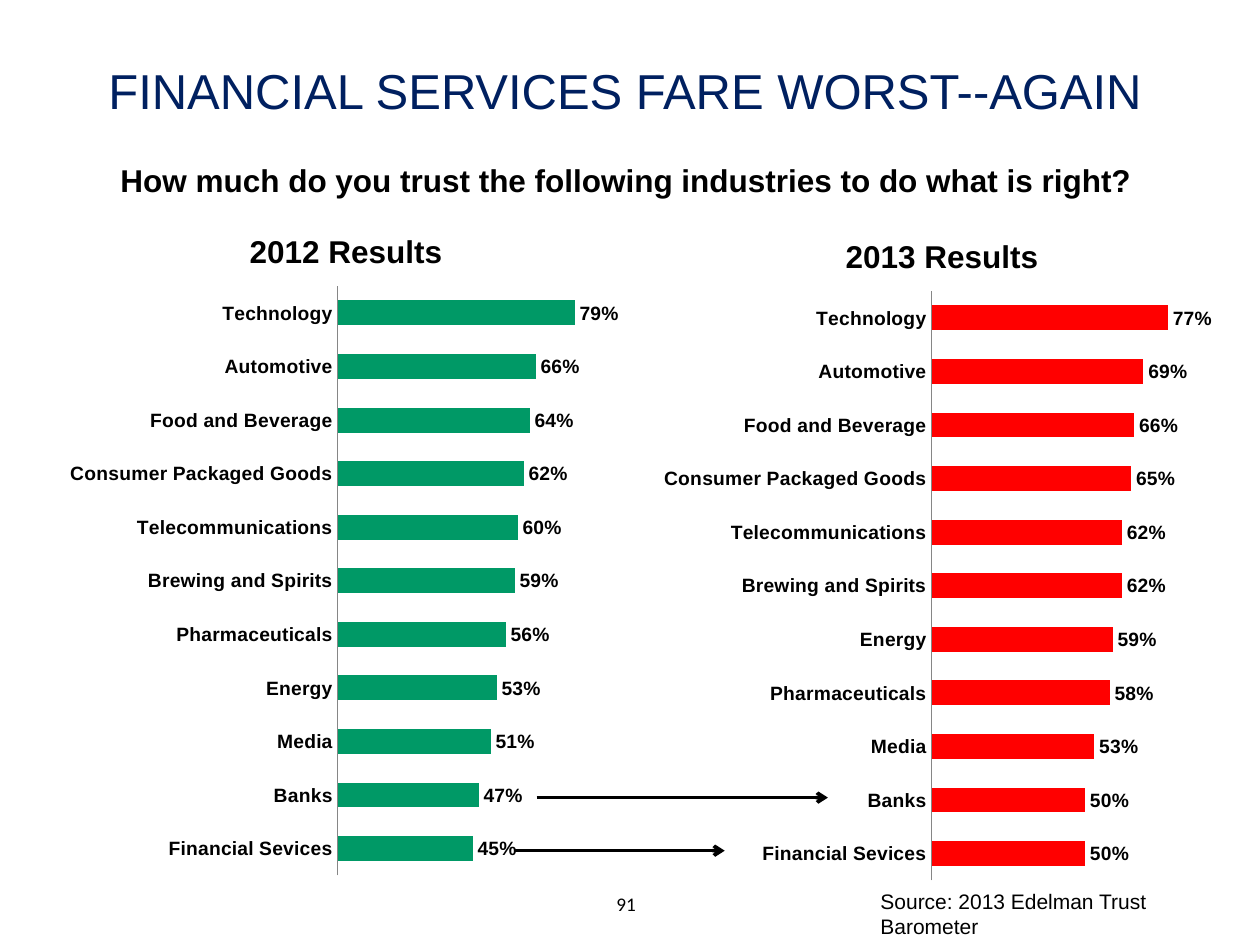
from dataclasses import dataclass

from lxml.etree import SubElement
from pptx import Presentation
from pptx.chart.data import CategoryChartData
from pptx.dml.color import RGBColor
from pptx.enum.chart import XL_CHART_TYPE, XL_LABEL_POSITION, XL_TICK_LABEL_POSITION, XL_TICK_MARK
from pptx.enum.shapes import MSO_CONNECTOR
from pptx.enum.text import MSO_ANCHOR, MSO_AUTO_SIZE, PP_ALIGN
from pptx.oxml import parse_xml
from pptx.oxml.ns import nsdecls, qn
from pptx.util import Cm, Pt


@dataclass(frozen=True)
class Theme:
    font: str = "Arial"
    number_font: str = "Calibri"
    navy: RGBColor = RGBColor(0x00, 0x20, 0x60)
    black: RGBColor = RGBColor(0x00, 0x00, 0x00)
    grey: RGBColor = RGBColor(0x86, 0x86, 0x86)
    green: RGBColor = RGBColor(0x00, 0x99, 0x66)
    red: RGBColor = RGBColor(0xFF, 0x00, 0x00)
    title_size: Pt = Pt(28)
    heading_size: Pt = Pt(18)
    source_size: Pt = Pt(12)
    label_size: Pt = Pt(11)
    chart_size: Pt = Pt(10)
    arrow_width: Pt = Pt(2)


THEME = Theme()

RESULTS_2012 = {
    "Technology": 0.79, "Automotive": 0.66, "Food and Beverage": 0.64,
    "Consumer Packaged Goods": 0.62, "Telecommunications": 0.60,
    "Brewing and Spirits": 0.59, "Pharmaceuticals": 0.56, "Energy": 0.53,
    "Media": 0.51, "Banks": 0.47, "Financial Sevices": 0.45,
}
RESULTS_2013 = {
    "Technology": 0.77, "Automotive": 0.69, "Food and Beverage": 0.66,
    "Consumer Packaged Goods": 0.65, "Telecommunications": 0.62,
    "Brewing and Spirits": 0.62, "Energy": 0.59, "Pharmaceuticals": 0.58,
    "Media": 0.53, "Banks": 0.50, "Financial Sevices": 0.50,
}


def style_font(font, size, color=THEME.black, bold=False, name=THEME.font):
    font.name = name
    font.size = size
    font.bold = bold
    font.color.rgb = color


def add_title(slide, box, text):
    title = slide.shapes.title
    title.left, title.top, title.width, title.height = map(Cm, box)
    frame = title.text_frame
    frame.text = text
    frame.auto_size = MSO_AUTO_SIZE.NONE
    frame.vertical_anchor = MSO_ANCHOR.BOTTOM
    paragraph = frame.paragraphs[0]
    paragraph.alignment = PP_ALIGN.CENTER
    style_font(paragraph.font, THEME.title_size, THEME.navy)


def add_text(slide, box, text, size, alignment=PP_ALIGN.CENTER, wrap=False, **font_style):
    frame = slide.shapes.add_textbox(*map(Cm, box)).text_frame
    frame.word_wrap = wrap
    frame.text = text
    paragraph = frame.paragraphs[0]
    paragraph.alignment = alignment
    style_font(paragraph.font, size, **font_style)


def set_layout(parent, index, **fractions):
    for old_layout in parent.findall(qn("c:layout")):
        parent.remove(old_layout)
    layout = parse_xml(f"<c:layout {nsdecls('c')}><c:manualLayout/></c:layout>")
    manual = layout[0]
    if "w" in fractions:
        SubElement(manual, qn("c:layoutTarget")).set("val", "inner")
    for axis in "xy":
        SubElement(manual, qn(f"c:{axis}Mode")).set("val", "edge")
    for key, value in fractions.items():
        SubElement(manual, qn(f"c:{key}")).set("val", f"{value:.4f}")
    parent.insert(index, layout)


def add_results_chart(slide, box, heading, results, color):
    data = CategoryChartData(number_format="0%")
    data.categories = list(results)
    data.add_series("Series 1", list(results.values()))
    chart = slide.shapes.add_chart(XL_CHART_TYPE.BAR_CLUSTERED, *map(Cm, box), data).chart
    chart.has_legend = False
    style_font(chart.font, THEME.chart_size)

    chart.has_title = True
    title = chart.chart_title
    title.text_frame.text = heading
    style_font(title.text_frame.paragraphs[0].font, THEME.heading_size, bold=True)
    set_layout(title.element, 1, x=0.33, y=0.04)

    width, height = box[2:]
    left, top, right, bottom = 5.62, 1.78, 0.24, 0.26
    set_layout(
        chart.element.find(f".//{qn('c:plotArea')}"), 0,
        x=left / width, y=top / height,
        w=(width - left - right) / width, h=(height - top - bottom) / height,
    )

    category_axis = chart.category_axis
    category_axis.reverse_order = True
    category_axis.major_tick_mark = XL_TICK_MARK.NONE
    category_axis.format.line.color.rgb = THEME.grey
    style_font(category_axis.tick_labels.font, THEME.label_size, bold=True)

    value_axis = chart.value_axis
    value_axis.minimum_scale, value_axis.maximum_scale = 0, 0.9
    value_axis.has_major_gridlines = False
    value_axis.major_tick_mark = XL_TICK_MARK.NONE
    value_axis.tick_label_position = XL_TICK_LABEL_POSITION.NONE
    value_axis.format.line.fill.background()

    plot = chart.plots[0]
    plot.gap_width = 115
    plot.vary_by_categories = False
    fill = plot.series[0].format.fill
    fill.solid()
    fill.fore_color.rgb = color
    labels = plot.series[0].data_labels
    labels.show_value = True
    labels.number_format = "0%"
    labels.number_format_is_linked = False
    labels.position = XL_LABEL_POSITION.OUTSIDE_END
    style_font(labels.font, THEME.label_size, bold=True)


def add_arrow(slide, start, end, height):
    arrow = slide.shapes.add_connector(
        MSO_CONNECTOR.STRAIGHT, Cm(start), Cm(height), Cm(end), Cm(height)
    )
    arrow.line.color.rgb = THEME.black
    arrow.line.width = THEME.arrow_width
    properties = arrow.element.spPr
    SubElement(properties.find(qn("a:ln")), qn("a:tailEnd")).set("type", "arrow")
    SubElement(properties, qn("a:effectLst"))


def add_footer(slide, box):
    left, top, width, height = box
    add_text(slide, (left, top + 0.08, 1.83, 0.79), "91", THEME.label_size,
             wrap=True, name=THEME.number_font)
    add_text(slide, (left + 5.79, top, width - 5.79, height),
             "Source: 2013 Edelman Trust Barometer", THEME.source_size, PP_ALIGN.LEFT)


def main():
    presentation = Presentation()
    presentation.slide_width, presentation.slide_height = Cm(25.4), Cm(19.05)
    slide = presentation.slides.add_slide(presentation.slide_layouts[5])

    add_title(slide, (1.07, 0.61, 23.06, 1.93), "FINANCIAL SERVICES FARE WORST--AGAIN")
    add_text(slide, (1.98, 3.12, 21.29, 1.02),
             "How much do you trust the following industries to do what is right?",
             THEME.heading_size, bold=True)
    add_results_chart(slide, (1.19, 3.99, 11.3, 13.92), "2012 Results", RESULTS_2012, THEME.green)
    add_results_chart(slide, (13.16, 4.09, 11.43, 13.92), "2013 Results", RESULTS_2013, THEME.red)
    add_arrow(slide, 10.82, 16.69, 16.08)
    add_arrow(slide, 10.36, 14.61, 17.15)
    add_footer(slide, (11.71, 17.78, 13.08, 1.27))

    presentation.save("out.pptx")


if __name__ == "__main__":
    main()
